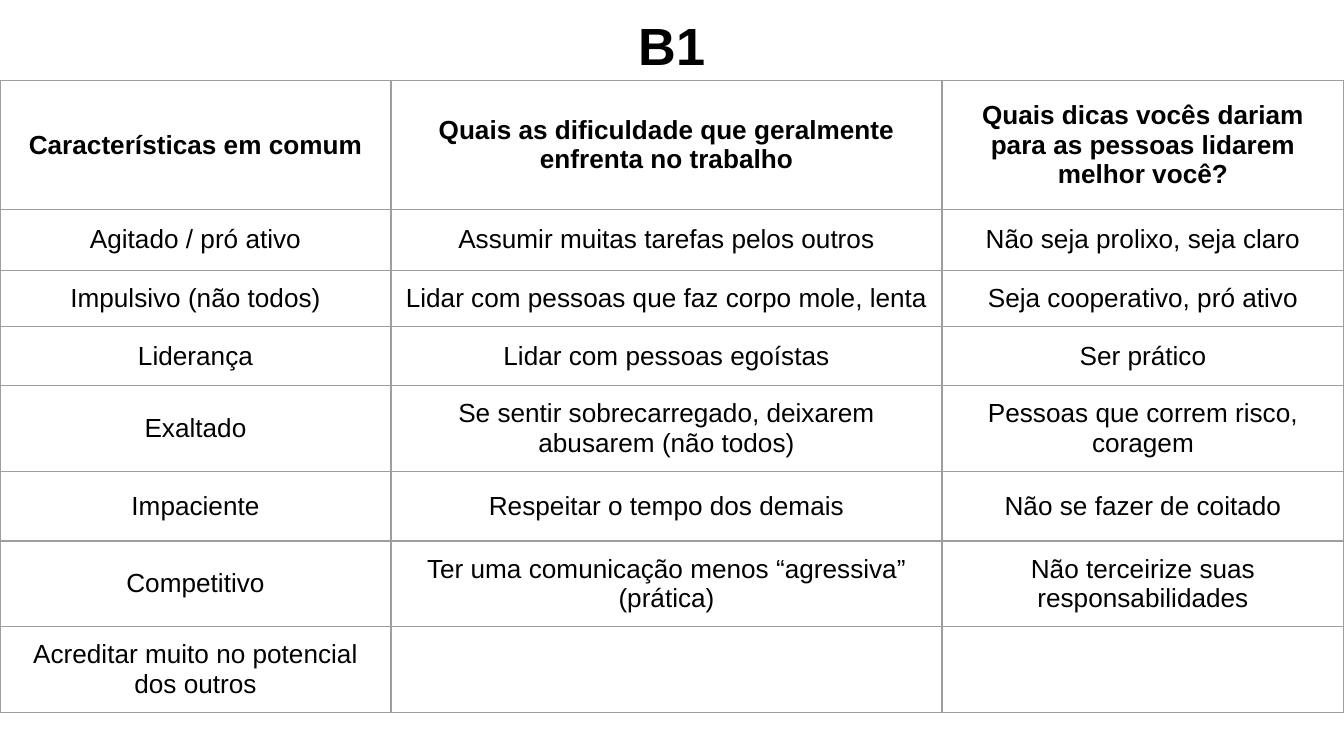
from lxml.etree import SubElement
from pptx import Presentation
from pptx.dml.color import RGBColor
from pptx.enum.text import MSO_ANCHOR as Anchor, MSO_AUTO_SIZE as AutoSize, PP_ALIGN as Align
from pptx.oxml.ns import qn
from pptx.util import Inches, Pt

COLORS = {"text": "000000", "border": "9E9E9E"}
COLUMN_WIDTHS = [2.91, 4.1, 2.99]
ROW_HEIGHTS = [0.96, 0.45, 0.3, 0.44] + [0.52] * 4
ROWS = [
    ["Características em comum",
     "Quais as dificuldade que geralmente enfrenta no trabalho",
     "Quais dicas vocês dariam para as pessoas lidarem melhor você?"],
    ["Agitado / pró ativo", "Assumir muitas tarefas pelos outros",
     "Não seja prolixo, seja claro"],
    ["Impulsivo (não todos)", "Lidar com pessoas que faz corpo mole, lenta",
     "Seja cooperativo, pró ativo"],
    ["Liderança", "Lidar com pessoas egoístas", "Ser prático"],
    ["Exaltado", "Se sentir sobrecarregado, deixarem abusarem (não todos)",
     "Pessoas que correm risco, coragem"],
    ["Impaciente", "Respeitar o tempo dos demais", "Não se fazer de coitado"],
    ["Competitivo", "Ter uma comunicação menos “agressiva” (prática)",
     "Não terceirize suas responsabilidades"],
    ["Acreditar muito no potencial dos outros", "", ""],
]


class SlideBuilder:
    font = "Arial"
    inset = Inches(0.1)

    def __init__(self, page):
        self.page = page

    def style_text(self, frame, size, bold):
        for paragraph in frame.paragraphs:
            paragraph.alignment = Align.CENTER
            for span in paragraph.runs:
                span.font.name = self.font
                span.font.size = Pt(size)
                span.font.bold = bold
                span.font.color.rgb = RGBColor.from_string(COLORS["text"])

    def set_insets(self, holder):
        holder.margin_left = holder.margin_right = self.inset
        holder.margin_top = holder.margin_bottom = self.inset

    def title(self, text, left, top, width, height):
        box = self.page.shapes.title
        box.left, box.top = Inches(left), Inches(top)
        box.width, box.height = Inches(width), Inches(height)
        frame = box.text_frame
        frame.text = text
        frame.word_wrap = True
        frame.auto_size = AutoSize.NONE
        frame.vertical_anchor = Anchor.TOP
        self.set_insets(frame)
        self.style_text(frame, 28, True)

    def borders(self, cell):
        properties = cell._tc.get_or_add_tcPr()
        for position, side in enumerate(("lnL", "lnR", "lnT", "lnB")):
            line = SubElement(properties, qn(f"a:{side}"), w=str(Pt(0.75)))
            properties.insert(position, line)  # borders come before the fill
            fill = SubElement(line, qn("a:solidFill"))
            SubElement(fill, qn("a:srgbClr"), val=COLORS["border"])

    def table(self, rows, widths, heights, left, top):
        table = self.page.shapes.add_table(
            len(rows), len(widths), Inches(left), Inches(top),
            Inches(sum(widths)), Inches(sum(heights))).table
        table.horz_banding = False
        for column, width in zip(table.columns, widths):
            column.width = Inches(width)
        for index, (row, height) in enumerate(zip(table.rows, heights)):
            row.height = Inches(height)
            for cell, text in zip(row.cells, rows[index]):
                cell.text = text
                cell.vertical_anchor = Anchor.MIDDLE
                cell.fill.background()
                self.set_insets(cell)
                self.borders(cell)
                self.style_text(cell.text_frame, 14, index == 0)


# Widescreen page, 16:9
deck = Presentation()
deck.slide_width = Inches(10)
deck.slide_height = deck.slide_width * 9 // 16
builder = SlideBuilder(deck.slides.add_slide(deck.slide_layouts[5]))

# Answer table
builder.table(ROWS, COLUMN_WIDTHS, ROW_HEIGHTS, left=0, top=0.6)

# Group title
builder.title("B1", left=4.46, top=0, width=1.08, height=0.53)

deck.save("out.pptx")
